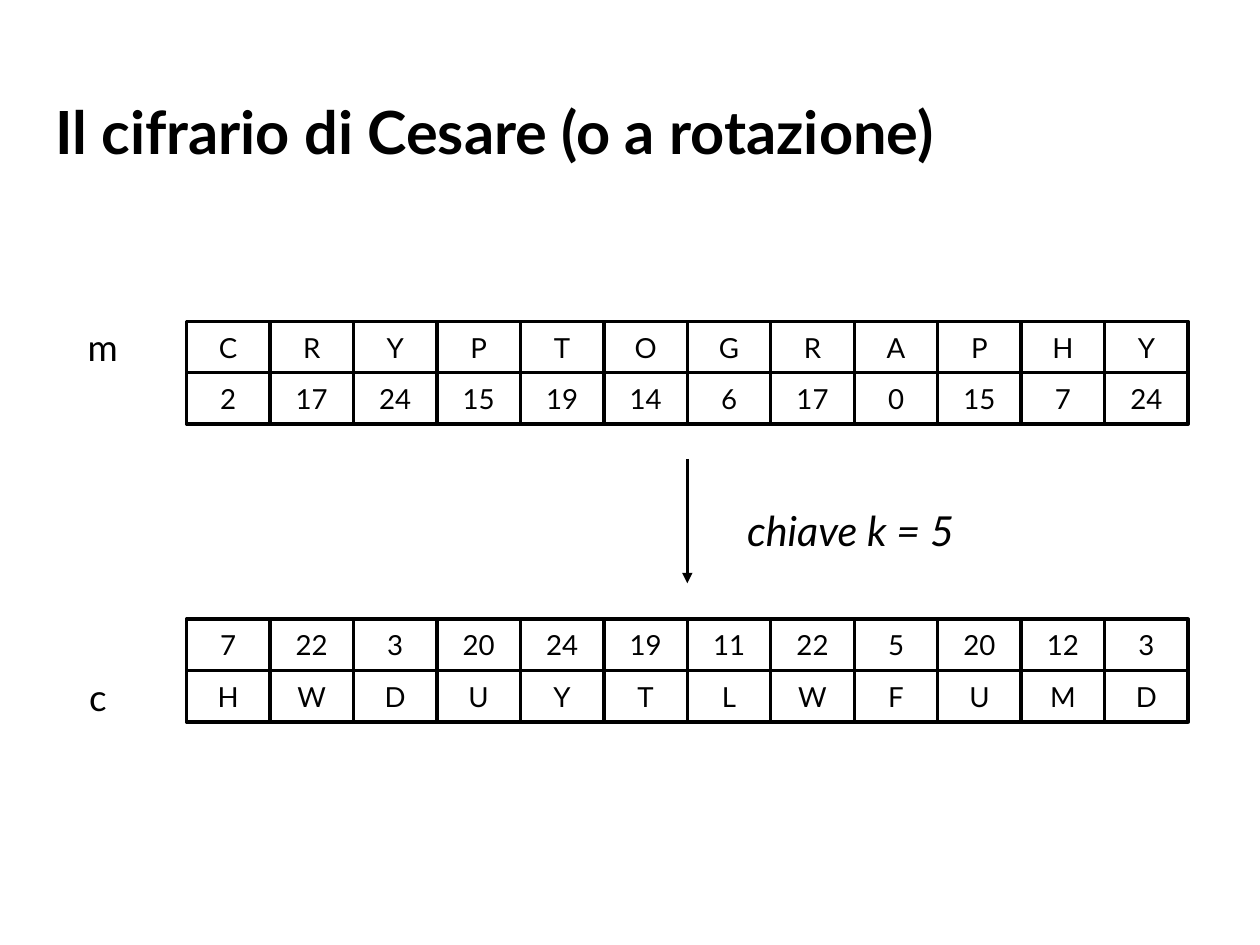
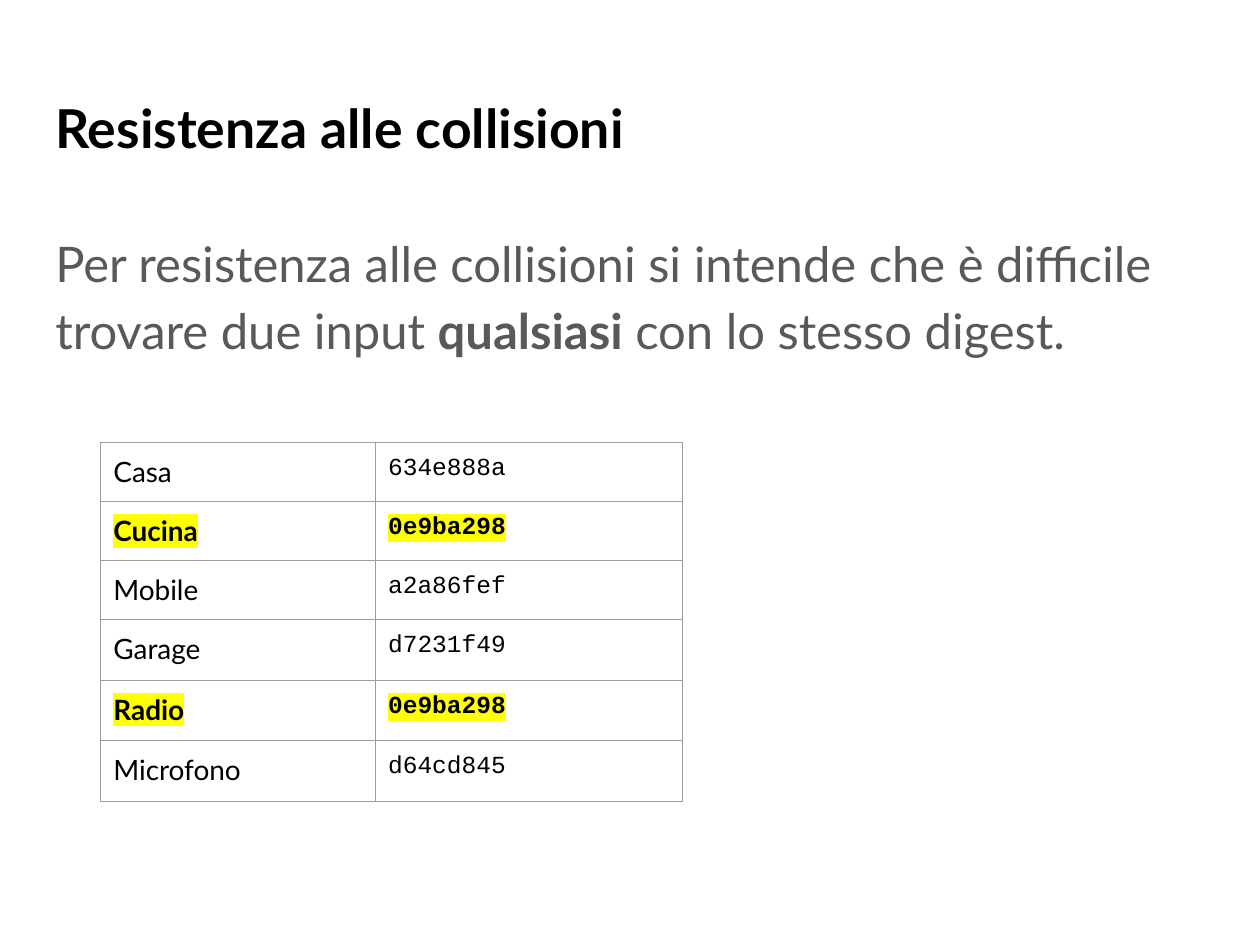
"""Builds two slides on cryptography: the Caesar cipher and collision resistance."""
from typing import NamedTuple

from lxml.etree import SubElement
from pptx import Presentation
from pptx.dml.color import RGBColor
from pptx.enum.shapes import MSO_CONNECTOR, MSO_SHAPE
from pptx.enum.text import MSO_ANCHOR as Anchor, PP_ALIGN as Align
from pptx.oxml.ns import qn
from pptx.util import Inches, Pt

BLACK = RGBColor(0x00, 0x00, 0x00)
GREY = RGBColor(0x59, 0x59, 0x59)
BORDER = RGBColor(0x9E, 0x9E, 0x9E)
YELLOW = RGBColor(0xFF, 0xFF, 0x00)
SANS, MONO = "Lato", "Courier New"
STROKE = Pt(1.97)
MESSAGE, KEY = "CRYPTOGRAPHY", 5
CIPHER_ROWS = 7.8
WORDS = [
    ("Casa", "634e888a"),
    ("Cucina", "0e9ba298"),
    ("Mobile", "a2a86fef"),
    ("Garage", "d7231f49"),
    ("Radio", "0e9ba298"),
    ("Microfono", "d64cd845"),
]


class Box(NamedTuple):
    """A rectangle in slide units that hands out parts of itself."""
    left: int
    top: int
    width: int
    height: int

    def share(self, left, top, width, height):
        """Return the part given as shares of this box."""
        return Box(round(self.left + left * self.width), round(self.top + top * self.height),
                   round(width * self.width), round(height * self.height))

    def cell(self, column, row, columns=1, rows=1):
        """Return the part given in columns and rows of the cipher grid."""
        count = len(MESSAGE)
        return self.share(column / count, row / CIPHER_ROWS, columns / count, rows / CIPHER_ROWS)


def style_font(font, size, name=SANS, color=BLACK, bold=False, italic=False):
    """Set every visible property of a font."""
    font.size, font.name, font.bold, font.italic = Pt(size), name, bold, italic
    font.color.rgb = color


def fill_frame(frame, text, size, inset=0.1, anchor=Anchor.TOP, align=Align.LEFT, **style):
    """Write one styled paragraph into a text frame and return it."""
    frame.word_wrap = True
    frame.vertical_anchor = anchor
    frame.margin_left = frame.margin_right = Inches(inset)
    frame.margin_top = frame.margin_bottom = Inches(inset)
    paragraph = frame.paragraphs[0]
    paragraph.alignment = align
    paragraph.add_run().text = text
    style_font(paragraph.font, size, **style)
    return paragraph


def add_text(slide, box, text, size, **options):
    """Add a text box and return its paragraph."""
    return fill_frame(slide.shapes.add_textbox(*box).text_frame, text, size, **options)


def add_title(slide, page, text, size):
    """Add the shared bold title."""
    add_text(slide, page.share(0.034, 0.087, 0.932, 0.11), text, size, bold=True)


def add_cipher_row(slide, box, row, values):
    """Add one outlined square for each value along a grid row."""
    for column, value in enumerate(values):
        square = slide.shapes.add_shape(MSO_SHAPE.RECTANGLE, *box.cell(column, row))
        square.shadow.inherit = False
        square.fill.background()
        square.line.color.rgb = BLACK
        square.line.width = STROKE
        fill_frame(square.text_frame, str(value), 15.8, 0.13, Anchor.MIDDLE, Align.CENTER)


def add_arrow(slide, start, end):
    """Add a straight arrow between the corners of two boxes."""
    arrow = slide.shapes.add_connector(
        MSO_CONNECTOR.STRAIGHT, start.left, start.top, end.left, end.top)
    arrow.line.color.rgb = BLACK
    arrow.line.width = STROKE
    SubElement(arrow.line._get_or_add_ln(), qn("a:tailEnd"), type="triangle")
    SubElement(arrow._element.spPr, qn("a:effectLst"))


def add_cipher(slide, box):
    """Add the message, the key arrow and the rotated message."""
    codes = [ord(letter) - ord("A") for letter in MESSAGE]
    rotated = [(code + KEY) % 26 for code in codes]
    letters = [chr(code + ord("A")) for code in rotated]
    for row, values in ((0, MESSAGE), (1, codes), (5.8, rotated), (6.8, letters)):
        add_cipher_row(slide, box, row, values)
    for row, label in ((0, "m"), (6.8, "c")):
        add_text(slide, box.cell(-1.38, row, 0.64), label, 21, inset=0.13,
                 anchor=Anchor.MIDDLE, align=Align.CENTER)
    add_arrow(slide, box.cell(6, 2.68), box.cell(6, 5.1))
    key_label = add_text(slide, box.cell(6.52, 3.12, 5.48, 1.52), f"chiave k = {KEY}", 23.6,
                         inset=0.13, italic=True)
    key_label.line_spacing = 1.15


def add_definition(slide, box):
    """Add the sentence that defines collision resistance."""
    paragraph = add_text(
        slide, box, "Per resistenza alle collisioni si intende che è difficile trovare due input ",
        28, color=GREY)
    paragraph.line_spacing = 1.15
    paragraph.space_after = Pt(12)
    emphasis = paragraph.add_run()
    emphasis.text = "qualsiasi"
    emphasis.font.bold = True
    paragraph.add_run().text = " con lo stesso digest."


def add_borders(cell):
    """Draw a thin line on all four sides of a table cell."""
    properties = cell._tc.get_or_add_tcPr()
    for index, side in enumerate(("a:lnL", "a:lnR", "a:lnT", "a:lnB")):
        line = properties.makeelement(qn(side), {"w": str(Pt(0.75))})
        properties.insert(index, line)
        SubElement(SubElement(line, qn("a:solidFill")), qn("a:srgbClr"), val=str(BORDER))


def highlight(run):
    """Mark a run with a yellow background."""
    marker = SubElement(run._r.get_or_add_rPr(), qn("a:highlight"))
    SubElement(marker, qn("a:srgbClr"), val=str(YELLOW))


def add_digest_table(slide, box):
    """Add the words with their digests, marking those that collide."""
    table = slide.shapes.add_table(len(WORDS), 2, *box).table
    table.first_row = table.horz_banding = False
    for column, share in zip(table.columns, (0.472, 0.528)):
        column.width = round(box.width * share)
    for index, row in enumerate(table.rows):
        row.height = Inches(0.47 if index < 3 else 0.48)
    digests = [digest for _, digest in WORDS]
    for row, (word, digest) in zip(table.rows, WORDS):
        collides = digests.count(digest) > 1
        for cell, text, size, name in zip(row.cells, (word, digest), (16, 14), (SANS, MONO)):
            cell.fill.background()
            cell.margin_left = cell.margin_right = Inches(0.1)
            cell.margin_top = cell.margin_bottom = Inches(0.1)
            add_borders(cell)
            paragraph = cell.text_frame.paragraphs[0]
            run = paragraph.add_run()
            run.text = text
            style_font(paragraph.font, size, name, bold=collides)
            if collides:
                highlight(run)


def build_cipher_slide(slide, page):
    """Build the Caesar cipher slide."""
    add_title(slide, page, "Il cifrario di Cesare (o a rotazione)", 34)
    add_cipher(slide, page.share(0.148, 0.34, 0.795, 0.424))


def build_collision_slide(slide, page):
    """Build the collision resistance slide."""
    add_title(slide, page, "Resistenza alle collisioni", 30.6)
    add_definition(slide, page.share(0.034, 0.224, 0.932, 0.733))
    add_digest_table(slide, page.share(0.08, 0.468, 0.462, 0.38))


def main():
    """Build and save the presentation."""
    presentation = Presentation()
    presentation.slide_width, presentation.slide_height = Inches(10), Inches(7.5)
    page = Box(0, 0, presentation.slide_width, presentation.slide_height)
    for build in (build_cipher_slide, build_collision_slide):
        build(presentation.slides.add_slide(presentation.slide_layouts[6]), page)
    presentation.save("out.pptx")


if __name__ == "__main__":
    main()
